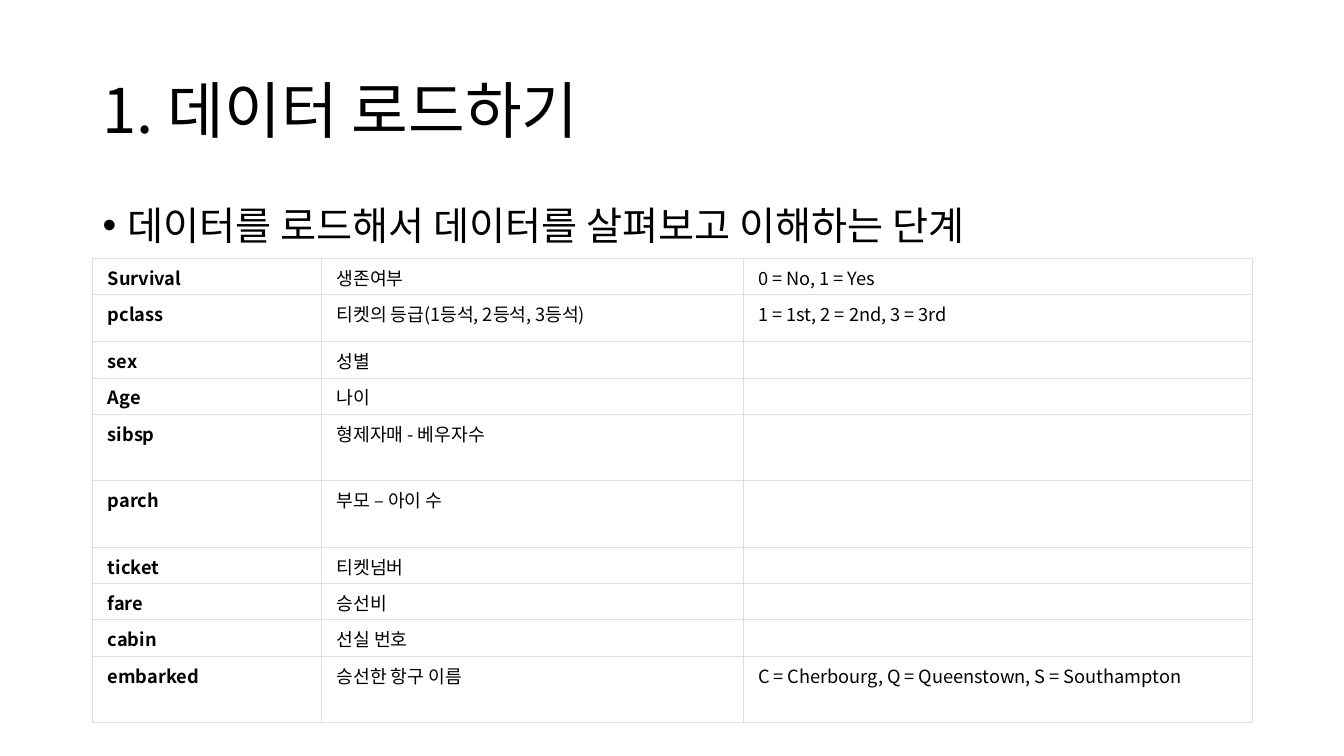
from lxml import etree
from pptx import Presentation
from pptx.dml.color import RGBColor
from pptx.enum.text import MSO_ANCHOR
from pptx.oxml.ns import qn
from pptx.util import Inches, Pt

TOP, MIDDLE = MSO_ANCHOR.TOP, MSO_ANCHOR.MIDDLE

# Content
TITLE = "1. 데이터 로드하기"
SUMMARY = "데이터를 로드해서 데이터를 살펴보고 이해하는 단계"
SHORT, MEDIUM, TALL = 0.36, 0.47, 0.66
FIELDS = [  # name, meaning, values, row height
    ("Survival", "생존여부", "0 = No, 1 = Yes", SHORT),
    ("pclass", "티켓의 등급(1등석, 2등석, 3등석)", "1 = 1st, 2 = 2nd, 3 = 3rd", MEDIUM),
    ("sex", "성별", "", SHORT),
    ("Age", "나이", "", SHORT),
    ("sibsp", "형제자매 - 베우자수", "", TALL),
    ("parch", "부모 – 아이 수", "", TALL),
    ("ticket", "티켓넘버", "", SHORT),
    ("fare", "승선비", "", SHORT),
    ("cabin", "선실 번호", "", SHORT),
    ("embarked", "승선한 항구 이름", "C = Cherbourg, Q = Queenstown, S = Southampton", TALL),
]
COLUMNS = [2.27, 4.18, 5.05]

# Layout and style
WIDTH, HEIGHT = 13.33, 7.5
LEFT, CONTENT_WIDTH = 0.92, sum(COLUMNS)
TABLE_TOP = 2.56
FONT, INK, PAPER, RULE = "Noto Sans CJK KR", "000000", "FFFFFF", "DEDFE0"
CELL_SIZE = 13


def color(value):
    return RGBColor.from_string(value)


def style(paragraph, size, bold=False):
    for run in paragraph.runs:
        font = run.font
        font.size, font.bold, font.name = Pt(size), bold, FONT
        font.color.rgb = color(INK)
        etree.SubElement(font._element, qn("a:ea"), typeface=FONT)
    if not paragraph.runs:  # keeps an empty cell as low as a filled one
        etree.SubElement(paragraph._p, qn("a:endParaRPr"), sz=str(size * 100))


def add_text(slide, text, top, height, size, anchor):
    box = slide.shapes.add_textbox(
        Inches(LEFT), Inches(top), Inches(CONTENT_WIDTH), Inches(height))
    frame = box.text_frame
    frame.word_wrap = True
    frame.vertical_anchor = anchor
    frame.text = text
    paragraph = frame.paragraphs[0]
    paragraph.line_spacing = 0.9
    style(paragraph, size)
    return paragraph


def add_bullet(paragraph):
    paragraph.space_before = Pt(10)
    properties = paragraph._p.get_or_add_pPr()
    properties.set("marL", str(Inches(0.25)))
    properties.set("indent", str(-Inches(0.25)))
    etree.SubElement(properties, qn("a:buFont"), typeface="Arial")
    etree.SubElement(properties, qn("a:buChar"), char="•")


def add_borders(cell):
    properties = cell._tc.get_or_add_tcPr()
    for position, side in enumerate(("a:lnL", "a:lnR", "a:lnT", "a:lnB")):
        line = etree.Element(qn(side), w=str(Pt(0.6)))
        fill = etree.SubElement(line, qn("a:solidFill"))
        etree.SubElement(fill, qn("a:srgbClr"), val=RULE)
        properties.insert(position, line)


def fill_cell(cell, text, bold):
    cell.margin_left = cell.margin_right = Inches(0.15)
    cell.margin_top, cell.margin_bottom = Inches(0.06), Inches(0.04)
    cell.vertical_anchor = TOP
    cell.fill.solid()
    cell.fill.fore_color.rgb = color(PAPER)
    cell.text_frame.text = text
    style(cell.text_frame.paragraphs[0], CELL_SIZE, bold)
    add_borders(cell)


def add_field_table(slide):
    table_height = sum(field[-1] for field in FIELDS)
    table = slide.shapes.add_table(
        len(FIELDS), len(COLUMNS), Inches(LEFT), Inches(TABLE_TOP),
        Inches(CONTENT_WIDTH), Inches(table_height)).table
    table.first_row = table.horz_banding = False
    for column, width in zip(table.columns, COLUMNS):
        column.width = Inches(width)
    for row, (*texts, row_height) in zip(table.rows, FIELDS):
        row.height = Inches(row_height)
        for index, (cell, text) in enumerate(zip(row.cells, texts)):
            fill_cell(cell, text, bold=index == 0)


def main():
    deck = Presentation()
    deck.slide_width, deck.slide_height = Inches(WIDTH), Inches(HEIGHT)
    slide = deck.slides.add_slide(deck.slide_layouts[6])

    # Heading and summary
    add_text(slide, TITLE, 0.4, 1.45, 44, MIDDLE)
    add_bullet(add_text(slide, SUMMARY, 2, 4.76, 28, TOP))

    # Field descriptions
    add_field_table(slide)
    deck.save("out.pptx")


if __name__ == "__main__":
    main()
